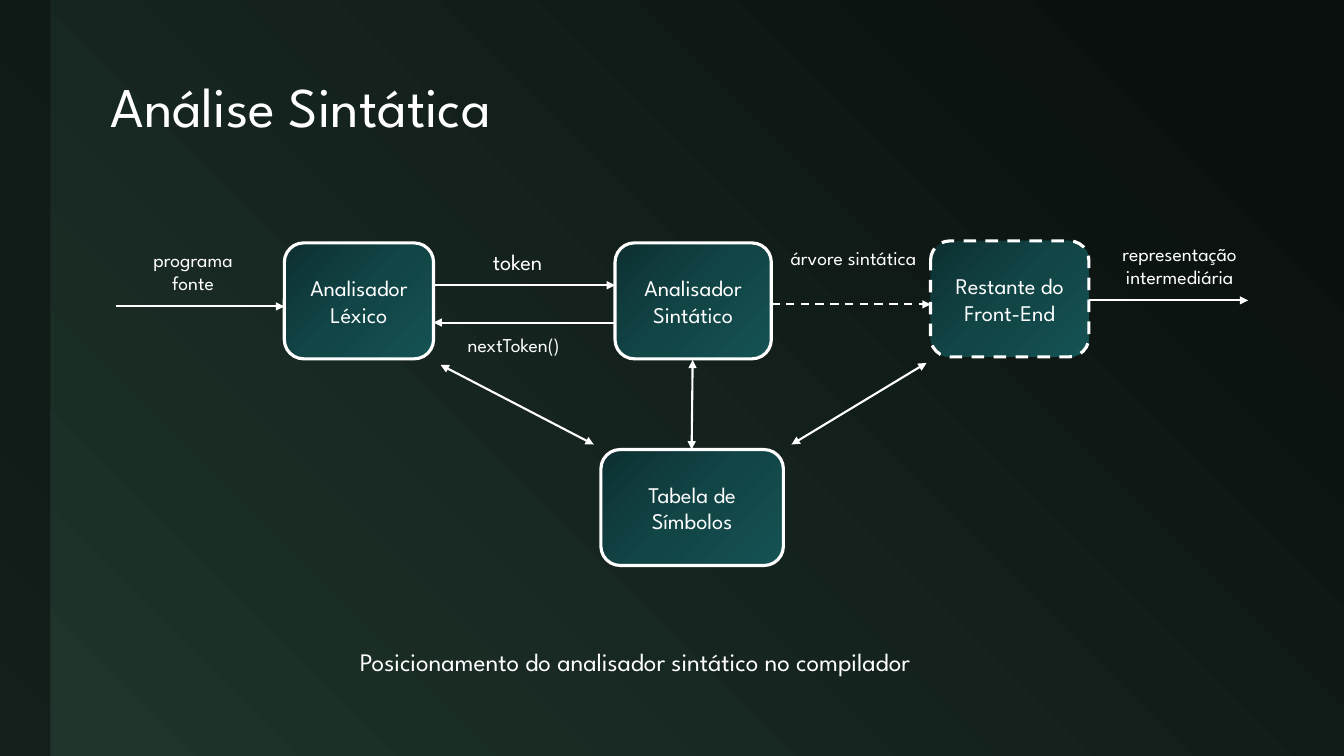
from copy import deepcopy

from lxml import etree
from pptx import Presentation
from pptx.dml.color import RGBColor
from pptx.enum import dml, shapes, text
from pptx.oxml.ns import qn
from pptx.util import Inches, Pt

FONT = "League Spartan"
COLORS = {"night": "0A100E", "forest": "20362D", "white": "FFFFFF",
          "teal_dark": "0D3032", "teal": "124546", "teal_light": "155254"}
BACKGROUND_STOPS = [(0.1, "night"), (1, "forest")]
BOX_STOPS = [(0, "teal_dark"), (0.5, "teal"), (1, "teal_light")]

TITLE = ("Análise Sintática", 1, 0.42, 11.65, 1.33)
CAPTION = ("Posicionamento do analisador sintático no compilador", 3.47, 6.36, 6.92, 0.4)
BOX_HEIGHT = 1.15
BOXES = [
    ("Analisador Léxico", 2.82, 2.41, 1.48, False),
    ("Analisador Sintático", 6.1, 2.41, 1.55, False),
    ("Tabela de Símbolos", 5.96, 4.46, 1.81, False),
    ("Restante do Front-End", 9.23, 2.39, 1.57, True),
]
ARROWS = [
    ((1.15, 3.04), (2.82, 3.04), "end", False),
    ((4.3, 2.83), (6.1, 2.83), "end", False),
    ((4.3, 3.2), (6.1, 3.2), "start", False),
    ((7.65, 3.02), (9.23, 3.02), "end", True),
    ((10.8, 2.98), (12.38, 2.98), "end", False),
    ((4.37, 3.62), (5.89, 4.41), "both", False),
    ((6.87, 3.57), (6.86, 4.46), "both", False),
    ((9.19, 3.6), (7.85, 4.41), "both", False),
]
LABELS = [
    ("token", 4.79, 2.41, 0.82, 0.37, 16, "left"),
    ("nextToken()", 4.54, 3.25, 1.31, 0.34, 14, "left"),
    ("programa\nfonte", 1.33, 2.41, 1.17, 0.57, 14, "center"),
    ("árvore sintática", 7.72, 2.39, 1.49, 0.57, 14, "center"),
    ("representação intermediária", 10.84, 2.35, 1.72, 0.57, 14, "center"),
]
ALIGNMENTS = {"left": text.PP_ALIGN.LEFT, "center": text.PP_ALIGN.CENTER}


def color(name):
    return RGBColor.from_string(COLORS[name])


def fill_gradient(fill, element, stops, clockwise_angle):
    fill.gradient()
    fill.gradient_angle = 360 - clockwise_angle
    stop_list = next(element.iter(qn("a:gsLst")))
    while len(stop_list) < len(stops):
        stop_list.append(deepcopy(stop_list[-1]))
    for stop, (position, name) in zip(fill.gradient_stops, stops):
        stop.position = position
        stop.color.rgb = color(name)


def write(shape, wording, size=16, align="left", anchor=text.MSO_ANCHOR.TOP, spacing=None):
    frame = shape.text_frame
    frame.word_wrap = True
    frame.vertical_anchor = anchor
    paragraph = frame.paragraphs[0]
    paragraph.text = wording
    paragraph.alignment = ALIGNMENTS[align]
    paragraph.line_spacing = spacing
    for run in paragraph.runs:
        run.font.name = FONT
        run.font.size = Pt(size)
        run.font.color.rgb = color("white")


def style_line(line, width, dashed):
    line.color.rgb = color("white")
    line.width = Pt(width)
    if dashed:
        line.dash_style = dml.MSO_LINE.DASH


def add_text(slide, wording, left, top, width, height, **text_format):
    box = slide.shapes.add_textbox(*map(Inches, (left, top, width, height)))
    write(box, wording, **text_format)


def add_box(slide, wording, left, top, width, dashed):
    box = slide.shapes.add_shape(shapes.MSO_SHAPE.ROUNDED_RECTANGLE,
                                 *map(Inches, (left, top, width, BOX_HEIGHT)))
    box.shadow.inherit = False
    fill_gradient(box.fill, box._element, BOX_STOPS, 45)
    style_line(box.line, 2.25, dashed)
    write(box, wording, align="center", anchor=text.MSO_ANCHOR.MIDDLE)


def add_arrow(slide, start, end, heads, dashed):
    arrow = slide.shapes.add_connector(shapes.MSO_CONNECTOR.STRAIGHT,
                                       *map(Inches, start + end))
    style_line(arrow.line, 1.5, dashed)
    properties = arrow._element.spPr
    outline = properties.find(qn("a:ln"))
    for tag, side in (("a:headEnd", "start"), ("a:tailEnd", "end")):
        if heads in (side, "both"):
            etree.SubElement(outline, qn(tag), type="triangle")
    etree.SubElement(properties, qn("a:effectLst"))


def add_side_band(slide, height):
    band = slide.shapes.add_shape(shapes.MSO_SHAPE.RECTANGLE, 0, 0, Inches(0.5), height)
    band.shadow.inherit = False
    band.line.fill.background()
    band.fill.solid()
    band.fill.fore_color.rgb = color("night")
    tint = next(band._element.spPr.iter(qn("a:srgbClr")))
    etree.SubElement(tint, qn("a:alpha"), val="60000")


def main():
    """Build the slide that places the parser within a compiler."""
    presentation = Presentation()
    presentation.slide_width = Inches(13.33)
    presentation.slide_height = Inches(7.5)
    slide = presentation.slides.add_slide(presentation.slide_layouts[6])
    fill_gradient(slide.background.fill, slide._element, BACKGROUND_STOPS, 135)
    add_side_band(slide, presentation.slide_height)
    add_text(slide, *TITLE, size=40, anchor=text.MSO_ANCHOR.MIDDLE, spacing=0.9)
    for box in BOXES:
        add_box(slide, *box)
    for arrow in ARROWS:
        add_arrow(slide, *arrow)
    for *place, size, align in LABELS:
        add_text(slide, *place, size=size, align=align)
    add_text(slide, *CAPTION, size=18)
    presentation.save("out.pptx")


if __name__ == "__main__":
    main()
